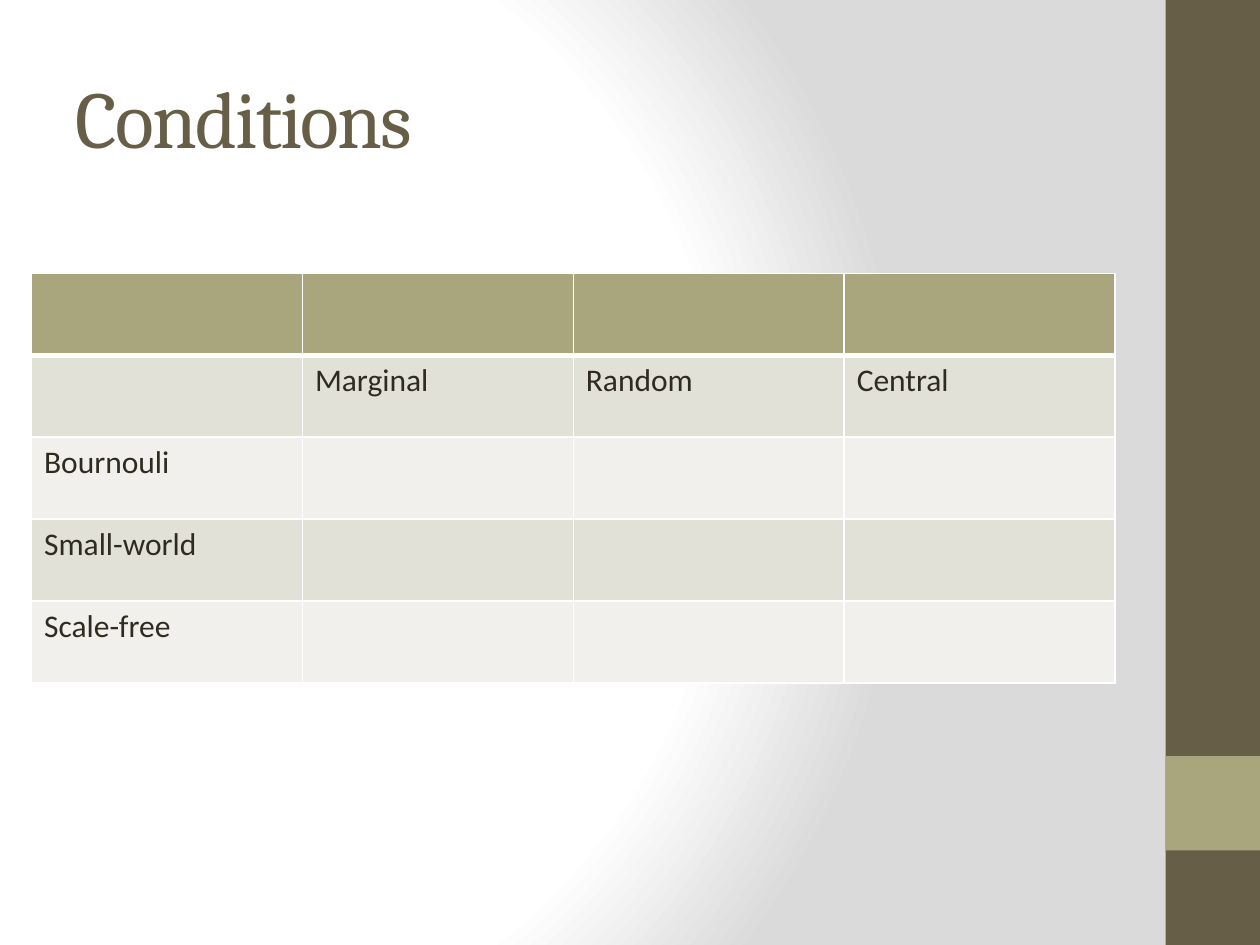
"""Build the Conditions slide: a title and a table beside a two-colour side band."""
from dataclasses import dataclass

from pptx import Presentation, oxml, util as u
from pptx.dml.color import RGBColor
from pptx.enum import shapes, text
from pptx.oxml import ns
from pptx.slide import Slide
from pptx.table import _Cell as Cell


@dataclass(frozen=True)
class Theme:
    dark: str = "675E47"
    accent: str = "A9A57C"
    ink: str = "2F2B20"
    white: str = "FFFFFF"
    grey: str = "DADADA"
    bands: tuple[str, str] = ("E2E1D7", "F1F0EC")
    heading_font: str = "Cambria"
    body_font: str = "Calibri"
    title_size: int = 46
    body_size: int = 18
    thin: int = 1
    thick: int = 3


@dataclass(frozen=True)
class Block:
    left: float
    top: float
    width: float
    height: float
    color: str

    def box(self) -> tuple[u.Length, ...]:
        return tuple(u.Inches(n) for n in (self.left, self.top, self.width, self.height))


THEME = Theme()
SIDE_BLOCKS = (
    Block(9.25, 0, 0.75, 7.5, THEME.dark),
    Block(9.25, 6, 0.75, 0.75, THEME.accent),
)
TITLE = Block(0.5, 0.3, 8.33, 1.25, THEME.dark)
TABLE = Block(0.25, 2.17, 8.6, 3.25, THEME.ink)
ROWS = (
    ("", "", "", ""),
    ("", "Marginal", "Random", "Central"),
    ("Bournouli", "", "", ""),
    ("Small-world", "", "", ""),
    ("Scale-free", "", "", ""),
)


def style_font(paragraph, name: str, size: int, color: str) -> None:
    paragraph.font.name = name
    paragraph.font.size = u.Pt(size)
    paragraph.font.color.rgb = RGBColor.from_string(color)


def paint_background(slide: Slide) -> None:
    slide.background.fill.gradient()
    stops = "".join(
        f'<a:gs pos="{percent * 1000}"><a:srgbClr val="{color}"/></a:gs>'
        for percent, color in ((0, THEME.white), (75, THEME.white), (100, THEME.grey))
    )
    gradient = oxml.parse_xml(
        f'<a:gradFill {ns.nsdecls("a")} rotWithShape="1"><a:gsLst>{stops}</a:gsLst>'
        '<a:path path="circle"><a:fillToRect l="20000" t="50000" r="100000" b="50000"/>'
        "</a:path></a:gradFill>"
    )
    current = slide.element.find(".//" + ns.qn("a:gradFill"))
    current.getparent().replace(current, gradient)


def add_block(slide: Slide, block: Block) -> None:
    shape = slide.shapes.add_shape(shapes.MSO_SHAPE.RECTANGLE, *block.box())
    shape.shadow.inherit = False
    shape.fill.solid()
    shape.fill.fore_color.rgb = RGBColor.from_string(block.color)
    shape.line.fill.background()


def add_title(slide: Slide, wording: str) -> None:
    frame = slide.shapes.add_textbox(*TITLE.box()).text_frame
    frame.word_wrap = True
    frame.vertical_anchor = text.MSO_ANCHOR.MIDDLE
    paragraph = frame.paragraphs[0]
    run = paragraph.add_run()
    run.text = wording
    run.font._element.set("spc", "-100")
    style_font(paragraph, THEME.heading_font, THEME.title_size, TITLE.color)


def set_borders(cell: Cell, top: int, bottom: int) -> None:
    properties = cell._tc.get_or_add_tcPr()
    for side, width in zip("LRTB", (THEME.thin, THEME.thin, top, bottom)):
        properties.append(oxml.parse_xml(
            f'<a:ln{side} {ns.nsdecls("a")} w="{u.Pt(width)}"><a:solidFill>'
            f'<a:srgbClr val="{THEME.white}"/></a:solidFill></a:ln{side}>'
        ))


def add_table(slide: Slide) -> None:
    table = slide.shapes.add_table(len(ROWS), len(ROWS[0]), *TABLE.box()).table
    for row, wordings in enumerate(ROWS):
        fill = THEME.bands[(row - 1) % 2] if row else THEME.accent
        top = THEME.thick if row == 1 else THEME.thin
        bottom = THEME.thick if row == 0 else THEME.thin
        for column, wording in enumerate(wordings):
            cell = table.cell(row, column)
            set_borders(cell, top, bottom)
            cell.fill.solid()
            cell.fill.fore_color.rgb = RGBColor.from_string(fill)
            cell.text = wording
            style_font(cell.text_frame.paragraphs[0], THEME.body_font, THEME.body_size, TABLE.color)


def main() -> None:
    presentation = Presentation()
    presentation.slide_width, presentation.slide_height = u.Inches(10), u.Inches(7.5)
    slide = presentation.slides.add_slide(presentation.slide_layouts[6])
    paint_background(slide)
    for block in SIDE_BLOCKS:
        add_block(slide, block)
    add_title(slide, "Conditions")
    add_table(slide)
    presentation.save("out.pptx")


if __name__ == "__main__":
    main()
